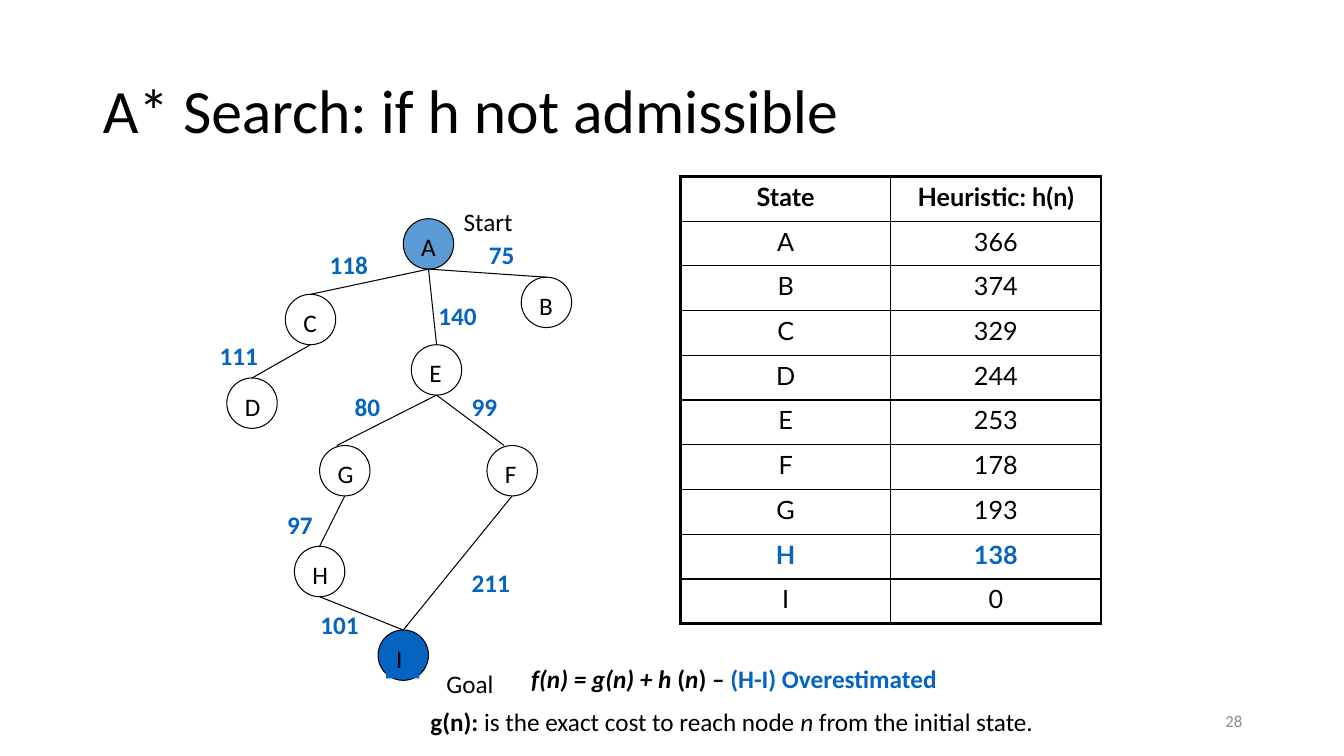
"""Build the slide on A* search with a heuristic that is not admissible."""
from dataclasses import dataclass

from lxml import etree
from pptx import Presentation
from pptx.dml.color import RGBColor
from pptx.enum.shapes import MSO_CONNECTOR, MSO_SHAPE
from pptx.enum.text import MSO_ANCHOR, PP_ALIGN
from pptx.oxml.ns import qn
from pptx.util import Inches, Pt

OVAL = MSO_SHAPE.OVAL
LINE = MSO_CONNECTOR.STRAIGHT
MIDDLE = MSO_ANCHOR.MIDDLE
LEFT, CENTER, RIGHT = PP_ALIGN.LEFT, PP_ALIGN.CENTER, PP_ALIGN.RIGHT
COLORS = {"black": "000000", "blue": "0563C1", "sky": "5B9BD5", "gray": "8C8C8C"}
FONT = "Calibri"
SIZE = 0.5


@dataclass
class Node:
    name: str
    left: float
    top: float
    fill: str = ""
    label_fill: str = ""


@dataclass
class Edge:
    start: str
    end: str
    shift: float = 0


@dataclass
class Label:
    text: str
    left: float
    top: float
    width: float = 0.83
    color: str = "blue"
    bold: bool = True


@dataclass
class Part:
    text: str
    bold: bool = True
    italic: bool = False
    color: str = "black"


NODES = [
    Node("A", 4, 2.17, "sky"), Node("B", 5.17, 2.75), Node("D", 2.25, 3.75),
    Node("C", 2.83, 2.92), Node("E", 4.08, 3.42), Node("F", 4.83, 4.42),
    Node("I", 3.75, 6.25, "blue", "blue"), Node("G", 3.17, 4.42), Node("H", 2.92, 5.42),
]
EDGES = [
    Edge("E", "F", -0.08), Edge("F", "I"), Edge("E", "G", -0.08), Edge("G", "H"),
    Edge("H", "I"), Edge("A", "B"), Edge("A", "E"), Edge("A", "C"), Edge("C", "D"),
]
LABELS = [
    Label("99", 4.58, 3.83, 0.67), Label("211", 4.58, 5.58),
    Label("80", 3.42, 3.83, 0.67), Label("97", 2.75, 5, 0.67),
    Label("101", 3.08, 6, 0.92), Label("75", 4.75, 2.33, 0.67),
    Label("118", 3.17, 2.42), Label("111", 2.08, 3.33), Label("140", 4.25, 2.93),
    Label("Start", 4.5, 2, 1.33, "black", False),
    Label("Goal", 4.33, 6.58, 1.33, "black", False),
]
ROWS = [
    ("State", "Heuristic: h(n)"), ("A", "366"), ("B", "374"), ("C", "329"), ("D", "244"),
    ("E", "253"), ("F", "178"), ("G", "193"), ("H", "138"), ("I", "0"),
]
NOTES = [
    [Part("f(n) = g(n) + h ", italic=True), Part("("), Part("n", italic=True),
     Part(") – "), Part("(H-I) Overestimated", color="blue")],
    [Part("g(n): "), Part("is the exact cost to reach node ", False),
     Part("n", False, True), Part(" from the initial state.", False)],
]


def shade(name: str) -> RGBColor:
    return RGBColor.from_string(COLORS[name])


def style(font, size: float = 18, color: str = "black", bold: bool = False,
          italic: bool = False, face: str = FONT) -> None:
    font.name, font.size, font.bold, font.italic = face, Pt(size), bold, italic
    font.color.rgb = shade(color)


def paint(shape, color: str) -> None:
    if color:
        shape.fill.solid()
        shape.fill.fore_color.rgb = shade(color)
    else:
        shape.fill.background()


def add_text(shapes, left: float, top: float, width: float, height: float = 0.4):
    box = shapes.add_textbox(Inches(left), Inches(top), Inches(width), Inches(height))
    box.text_frame.word_wrap = True
    return box


def add_label(shapes, label: Label):
    box = add_text(shapes, label.left, label.top, label.width)
    box.text_frame.text = label.text
    style(box.text_frame.paragraphs[0].runs[0].font, color=label.color, bold=label.bold)
    return box


def add_node(shapes, node: Node) -> None:
    group = shapes.add_group_shape().shapes
    disc = group.add_shape(OVAL, Inches(node.left), Inches(node.top), Inches(SIZE), Inches(SIZE))
    disc.shadow.inherit = False
    paint(disc, node.fill)
    disc.line.color.rgb = shade("black")
    disc.line.width = Pt(0.75)
    label = Label(node.name, node.left + 0.08, node.top + 0.08, 0.33, "black", False)
    paint(add_label(group, label), node.label_fill)


def add_edge(shapes, edge: Edge, nodes: dict[str, Node]) -> None:
    start, end = nodes[edge.start], nodes[edge.end]
    line = shapes.add_connector(
        LINE, Inches(start.left + SIZE / 2), Inches(start.top + SIZE),
        Inches(end.left + SIZE / 2 + edge.shift), Inches(end.top))
    line.line.color.rgb = shade("black")
    line.line.width = Pt(0.75)
    etree.SubElement(line._element.spPr, qn("a:effectLst"))


def add_border(cell, side: str, width: float) -> None:
    props = cell._tc.get_or_add_tcPr()
    line = etree.SubElement(props, qn(f"a:{side}"), w=str(Pt(width)))
    fill = etree.SubElement(line, qn("a:solidFill"))
    etree.SubElement(fill, qn("a:srgbClr"), val=COLORS["black"])


def add_grid(shapes) -> None:
    frame = shapes.add_table(len(ROWS), 2, Inches(6.75), Inches(1.75), Inches(4.17), Inches(4.44))
    table = frame.table
    table.first_row = table.horz_banding = False
    for r, row in enumerate(ROWS):
        table.rows[r].height = Inches(0.444)
        for c, text in enumerate(row):
            cell = table.cell(r, c)
            outer = {"lnL": c == 0, "lnR": c == 1, "lnT": r == 0, "lnB": r == len(ROWS) - 1}
            for side, edge in outer.items():
                add_border(cell, side, 2.25 if edge else 1)
            cell.fill.background()
            cell.text_frame.text = text
            para = cell.text_frame.paragraphs[0]
            para.alignment = CENTER
            key = row[0] == "H"
            style(para.runs[0].font, color="blue" if key else "black",
                  bold=key or r == 0, face="Lato")


def add_notes(shapes) -> None:
    frame = add_text(shapes, 4.17, 6.53, 7.25, 1.3).text_frame
    for i, parts in enumerate(NOTES):
        para = frame.add_paragraph() if i else frame.paragraphs[0]
        if i:
            para.space_before = Pt(9)
        else:
            para._p.get_or_add_pPr().set("marL", str(Inches(1)))
        for part in parts:
            run = para.add_run()
            run.text = part.text
            style(run.font, color=part.color, bold=part.bold, italic=part.italic)


def add_title(title) -> None:
    title.left, title.top = Inches(0.92), Inches(0.4)
    title.width, title.height = Inches(11.5), Inches(1.45)
    title.text_frame.text = "A* Search: if h not admissible"
    title.text_frame.vertical_anchor = MIDDLE
    para = title.text_frame.paragraphs[0]
    para.alignment, para.line_spacing = LEFT, 0.9
    style(para.runs[0].font, 44)


def add_number(shapes) -> None:
    frame = add_text(shapes, 9.42, 6.95, 3).text_frame
    frame.text, frame.vertical_anchor = "28", MIDDLE
    frame.paragraphs[0].alignment = RIGHT
    style(frame.paragraphs[0].runs[0].font, 12, "gray")


def main() -> None:
    deck = Presentation()
    deck.slide_width, deck.slide_height = Inches(13.33), Inches(7.5)
    shapes = deck.slides.add_slide(deck.slide_layouts[5]).shapes
    add_title(shapes.title)
    add_grid(shapes)
    add_number(shapes)
    nodes = {node.name: node for node in NODES}
    for node in NODES:
        add_node(shapes, node)
    for edge in EDGES:
        add_edge(shapes, edge, nodes)
    for label in LABELS:
        add_label(shapes, label)
    add_notes(shapes)
    deck.save("out.pptx")


if __name__ == "__main__":
    main()
